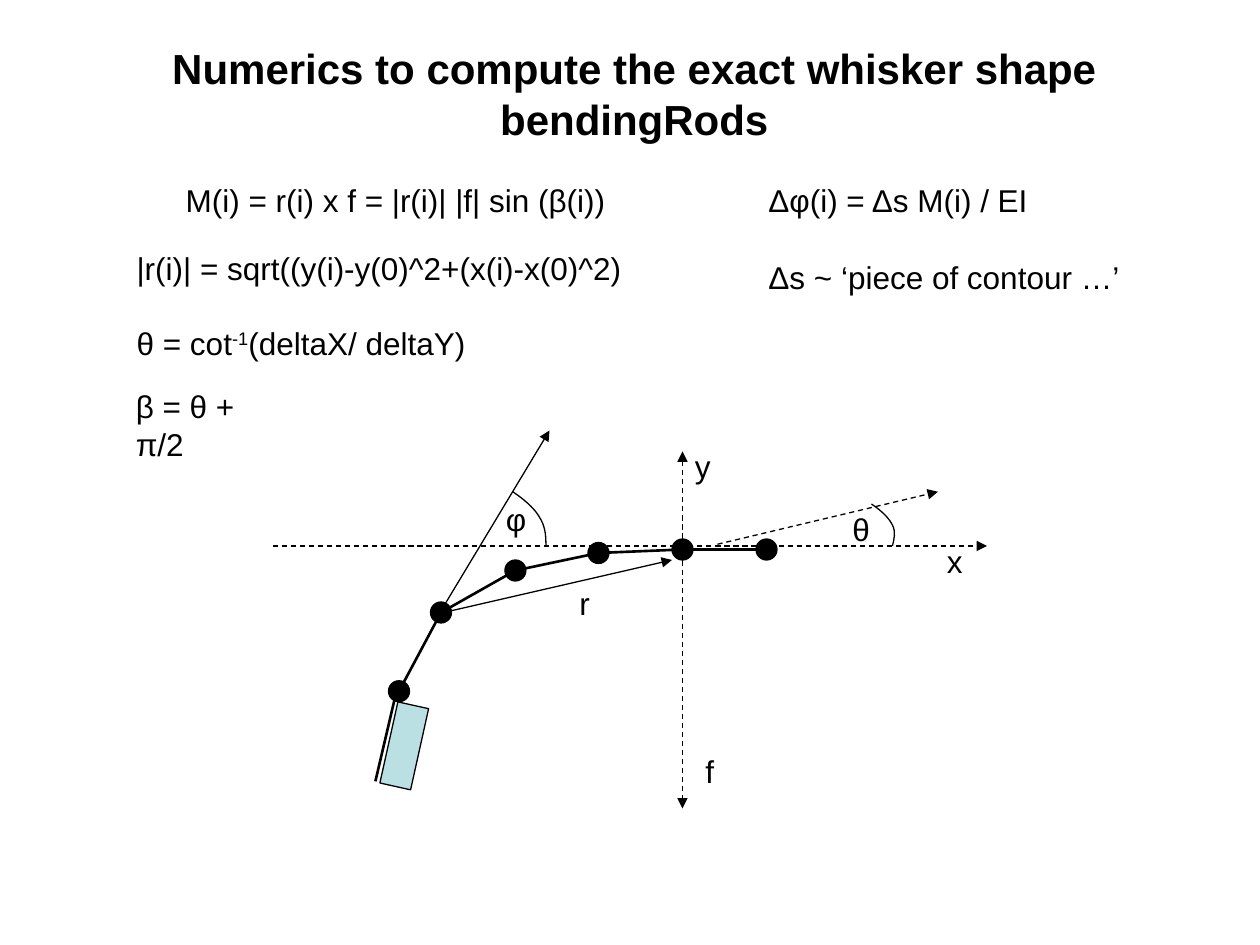
from itertools import pairwise

from lxml import etree
from pptx import Presentation
from pptx.dml.color import RGBColor
from pptx.enum import dml, shapes, text
from pptx.oxml import ns
from pptx.util import Pt

BLACK, CLAMP_BLUE = "000000", "BBE0E3"
THIN, THICK = 0.75, 1.5
NODE_SIZE = 12


def color(hex_code):
    return RGBColor.from_string(hex_code)


class Sketch:
    font_name = "Arial"
    font_size = 18

    def __init__(self, slide):
        self.slide = slide

    def text(self, left, top, width, height, *lines, size=font_size, bold=False,
             align=text.PP_ALIGN.LEFT, wrap=False, gap=0):
        """Add one paragraph per line; a line is a string or (base, superscript, rest)."""
        box = self.slide.shapes.add_textbox(Pt(left), Pt(top), Pt(width), Pt(height))
        frame = box.text_frame
        frame.word_wrap = wrap
        frame.auto_size = text.MSO_AUTO_SIZE.SHAPE_TO_FIT_TEXT
        for index, line in enumerate(lines):
            paragraph = frame.add_paragraph() if index else frame.paragraphs[0]
            paragraph.alignment = align
            paragraph.space_before = Pt(gap if index else 0)
            font = paragraph.font
            font.name, font.size, font.bold = self.font_name, Pt(size), bold
            font.color.rgb = color(BLACK)
            parts = (line,) if isinstance(line, str) else line
            for position, part in enumerate(parts):
                run = paragraph.add_run()
                run.text = part
                if position == 1:
                    run._r.get_or_add_rPr().set("baseline", "30000")

    def line(self, start, end, width=THIN, dashed=False, head=False, tail=False):
        points = [Pt(value) for value in (*start, *end)]
        connector = self.slide.shapes.add_connector(shapes.MSO_CONNECTOR.STRAIGHT, *points)
        connector.line.color.rgb = color(BLACK)
        connector.line.width = Pt(width)
        if dashed:
            connector.line.dash_style = dml.MSO_LINE.DASH
        outline = connector.line._get_or_add_ln()
        for tag, wanted in (("a:headEnd", head), ("a:tailEnd", tail)):
            if wanted:
                etree.SubElement(outline, ns.qn(tag), type="triangle")
        etree.SubElement(connector._element.spPr, ns.qn("a:effectLst"))

    def shape(self, kind, left, top, width, height, fill, rotation=0):
        item = self.slide.shapes.add_shape(kind, Pt(left), Pt(top), Pt(width), Pt(height))
        item.rotation = rotation
        item.shadow.inherit = False
        item.fill.solid()
        item.fill.fore_color.rgb = color(fill)
        item.line.color.rgb = color(BLACK)
        item.line.width = Pt(THIN)

    def node(self, x, y):
        self.shape(shapes.MSO_SHAPE.OVAL, x - NODE_SIZE / 2, y - NODE_SIZE / 2,
                   NODE_SIZE, NODE_SIZE, BLACK)

    def curve(self, start, *controls):
        """Draw cubic Béziers; each takes two control points and an end point."""
        builder = self.slide.shapes.build_freeform(*start, scale=Pt(1))
        builder.add_line_segments(controls, close=False)
        arc = builder.convert_to_shape()
        arc.shadow.inherit = False
        arc.fill.background()
        arc.line.color.rgb = color(BLACK)
        arc.line.width = Pt(THIN)
        segments = list(arc._element.iter(ns.qn("a:lnTo")))
        outline = segments[0].getparent()
        for first in range(0, len(segments), 3):
            bezier = etree.SubElement(outline, ns.qn("a:cubicBezTo"))
            for segment in segments[first:first + 3]:
                bezier.append(segment[0])
                outline.remove(segment)


def main():
    deck = Presentation()
    deck.slide_width, deck.slide_height = Pt(720), Pt(540)
    sketch = Sketch(deck.slides.add_slide(deck.slide_layouts[6]))

    sketch.text(88.5, 21, 548, 65.5, "Numerics to compute the exact whisker shape",
                "bendingRods", size=24, bold=True, align=text.PP_ALIGN.CENTER)

    # Formulas
    sketch.text(99, 100, 259, 29, "M(i) = r(i) x f = |r(i)| |f| sin (β(i))")
    sketch.text(71, 139, 297, 29, "|r(i)| = sqrt((y(i)-y(0)^2+(x(i)-x(0)^2)")
    sketch.text(71, 181.5, 203, 29, ("θ = cot", "-1", "(deltaX/ deltaY)"))
    sketch.text(70.5, 217.5, 95, 29, "β = θ + π/2", wrap=True)
    sketch.text(432, 100, 215, 73, "Δφ(i) = Δs M(i) / EI",
                "Δs ~ ‘piece of contour …’", gap=22)

    # Axes
    sketch.line((156, 312), (564, 312), dashed=True, tail=True)
    sketch.line((390, 258), (390, 462), dashed=True, head=True, tail=True)

    # Whisker and its clamp
    nodes = [(438, 314), (390, 314), (342, 316), (294.5, 326), (252, 350), (228, 395)]
    for start, end in pairwise(nodes):
        sketch.line(start, end, width=THICK)
    for center in nodes:
        sketch.node(*center)
    sketch.line((226, 397.5), (214.5, 446.5), width=THICK)
    sketch.shape(shapes.MSO_SHAPE.RECTANGLE, 222, 402.5, 18, 47.5, CLAMP_BLUE, rotation=12.5)

    # Vector r, its direction beyond the origin, and the tangent
    sketch.line((258, 349), (384, 320), tail=True)
    sketch.line((410, 311), (536, 281), dashed=True, tail=True)
    sketch.line((249, 354), (314, 246), tail=True)

    # Angles θ and φ
    sketch.curve((498, 288), (503.5, 292), (508.5, 296), (510, 300),
                 (512, 304), (511, 308), (510, 312))
    sketch.curve((293, 281), (299, 285), (305, 290), (308, 295),
                 (312, 301), (312, 307), (312.5, 312.5))

    labels = {"f": (396, 426, 19.5), "θ": (480, 288, 24), "r": (324, 330, 20),
              "x": (534, 306, 24), "y": (390, 252, 24), "φ": (282, 282, 24)}
    for symbol, (left, top, width) in labels.items():
        sketch.text(left, top, width, 29, symbol)

    deck.save("out.pptx")


if __name__ == "__main__":
    main()
